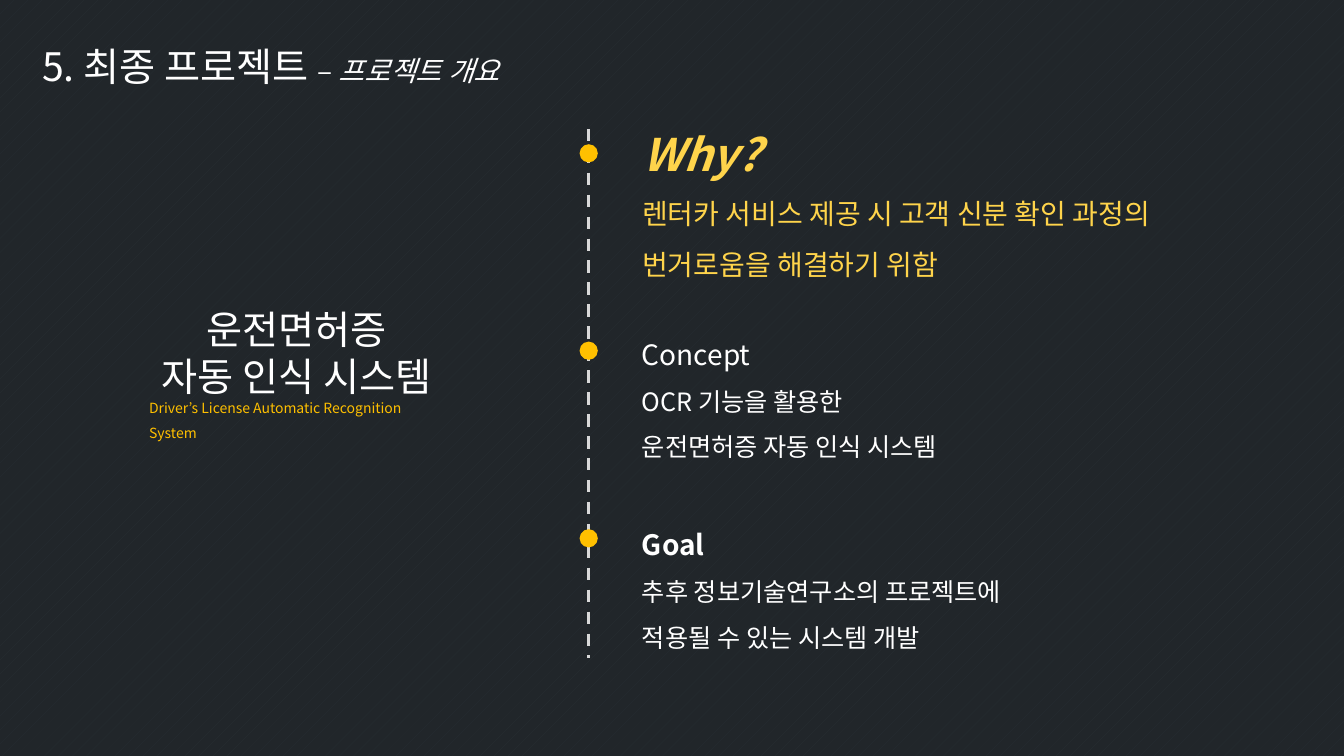
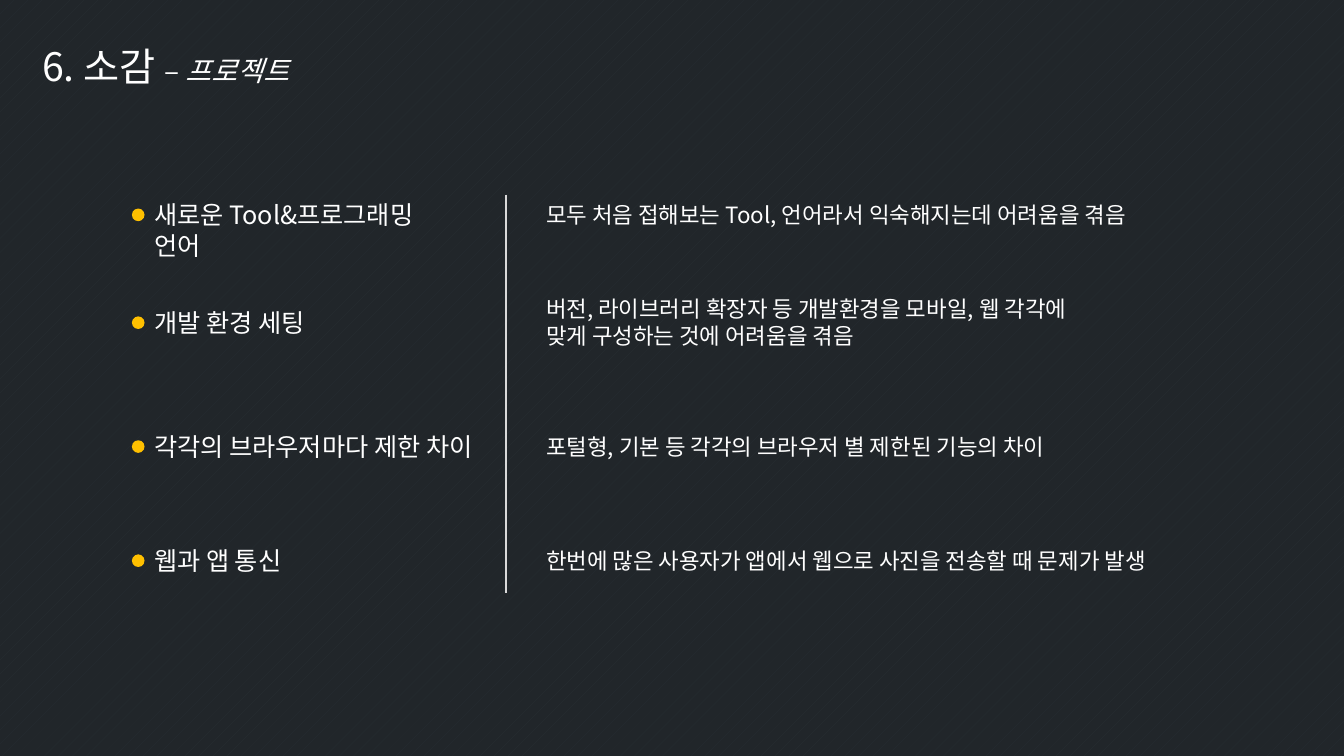
"""Build two dark slides: the project overview and the lessons learned."""
from lxml.etree import SubElement
from pptx import Presentation
from pptx.dml.color import RGBColor
from pptx.enum.dml import MSO_LINE, MSO_PATTERN
from pptx.enum.shapes import MSO_CONNECTOR, MSO_SHAPE
from pptx.enum.text import MSO_ANCHOR, MSO_AUTO_SIZE, PP_ALIGN
from pptx.oxml.ns import qn
from pptx.util import Pt

COLORS = {
    "white": "FFFFFF",
    "amber": "FFC000",
    "yellow": "FFD44B",
    "rule": "D9D9D9",
    "pattern": "282F34",
    "background": "21262A",
}
FONT = "Noto Sans CJK KR"

OVERVIEW_TITLE = ("5. 최종 프로젝트 ", "프로젝트 개요")
PRODUCT_NAME = ["운전면허증", "자동 인식 시스템"]
PRODUCT_ENGLISH = "Driver’s License Automatic Recognition System"
SECTIONS = [
    {
        "heading": "Why?",
        "lines": ["렌터카 서비스 제공 시 고객 신분 확인 과정의", "번거로움을 해결하기 위함"],
        "box": (67.5, 433.5, 138), "dot_y": 109.5, "color": "yellow",
        "heading_style": {"size": 32, "bold": True, "italic": True}, "size": 20,
    },
    {
        "heading": "Concept",
        "lines": ["OCR 기능을 활용한", "운전면허증 자동 인식 시스템"],
        "box": (225.5, 304.5, 109), "dot_y": 250.5, "color": "white",
        "heading_style": {"size": 20}, "size": 18,
    },
    {
        "heading": "Goal",
        "lines": ["추후 정보기술연구소의 프로젝트에", "적용될 수 있는 시스템 개발"],
        "box": (361.5, 335.5, 109), "dot_y": 384.5, "color": "white",
        "heading_style": {"size": 20, "bold": True}, "size": 18,
    },
]

LESSONS_TITLE = ("6. 소감 ", "프로젝트")
LESSONS = [
    (153.5, "새로운 Tool&프로그래밍 언어", 235.5,
     ["모두 처음 접해보는 Tool, 언어라서 익숙해지는데 어려움을 겪음"], 430.5),
    (230.5, "개발 환경 세팅", 123,
     ["버전, 라이브러리 확장자 등 개발환경을 모바일, 웹 각각에",
      "맞게 구성하는 것에 어려움을 겪음"], 390),
    (319, "각각의 브라우저마다 제한 차이", 243.5,
     ["포털형, 기본 등 각각의 브라우저 별 제한된 기능의 차이"], 375),
    (400.5, "웹과 앱 통신", 106.5,
     ["한번에 많은 사용자가 앱에서 웹으로 사진을 전송할 때 문제가 발생"], 446.5),
]


def color(name):
    return RGBColor.from_string(COLORS[name])


def add_run(paragraph, text, size, color_name="white", bold=False, italic=False):
    run = paragraph.add_run()
    run.text = text
    font = run.font
    font.size, font.bold, font.italic = Pt(size), bold, italic
    font.color.rgb = color(color_name)
    font.name = FONT
    SubElement(font._element, qn("a:ea"), typeface=FONT)


def add_paragraph(frame, spacing=None, align=PP_ALIGN.LEFT):
    first = frame.paragraphs[0]
    paragraph = frame.add_paragraph() if first.runs else first
    paragraph.alignment = align
    if spacing:
        paragraph.line_spacing = spacing
    return paragraph


def add_text_frame(shapes, left, top, width, height):
    frame = shapes.add_textbox(Pt(left), Pt(top), Pt(width), Pt(height)).text_frame
    frame.word_wrap = True
    return frame


def add_dot(shapes, center_x, center_y, diameter):
    dot = shapes.add_shape(
        MSO_SHAPE.OVAL, Pt(center_x - diameter / 2), Pt(center_y - diameter / 2),
        Pt(diameter), Pt(diameter))
    dot.shadow.inherit = False
    dot.fill.solid()
    dot.fill.fore_color.rgb = color("amber")
    dot.line.fill.background()


def add_vertical_rule(slide, x, top, bottom, width, dash=None):
    rule = slide.shapes.add_connector(
        MSO_CONNECTOR.STRAIGHT, Pt(x), Pt(top), Pt(x), Pt(bottom))
    rule.line.color.rgb = color("rule")
    rule.line.width = Pt(width)
    if dash:
        rule.line.dash_style = dash
    SubElement(rule._element.spPr, qn("a:effectLst"))


def prepare_layout(presentation):
    fill = presentation.slide_master.background.fill
    fill.patterned()
    fill.pattern = MSO_PATTERN.PERCENT_5
    fill.fore_color.rgb = color("pattern")
    fill.back_color.rgb = color("background")
    layout = presentation.slide_layouts.get_by_name("Title Only")
    title = layout.placeholders[0]
    title.left, title.top, title.width, title.height = Pt(23), Pt(26.5), Pt(429), Pt(41)
    title.text_frame.vertical_anchor = MSO_ANCHOR.TOP
    title.text_frame.auto_size = MSO_AUTO_SIZE.NONE
    return layout


def add_titled_slide(presentation, layout, title):
    slide = presentation.slides.add_slide(layout)
    heading, subheading = title
    paragraph = add_paragraph(slide.shapes.title.text_frame)
    add_run(paragraph, heading, 28)
    add_run(paragraph, "– ", 20)
    add_run(paragraph, subheading, 20, italic=True)
    return slide


def build_overview(presentation, layout):
    slide = add_titled_slide(presentation, layout, OVERVIEW_TITLE)
    product = add_text_frame(slide.shapes, 99.5, 214.5, 224.5, 94.5)
    for line in PRODUCT_NAME:
        add_run(add_paragraph(product, align=PP_ALIGN.CENTER), line, 28)
    english = add_paragraph(product)
    add_run(english, PRODUCT_ENGLISH, 10, "amber")
    add_run(english, " ", 16)

    timeline_x = 420.5
    add_vertical_rule(slide, timeline_x, 92, 470, 2.25, MSO_LINE.DASH)
    for section in SECTIONS:
        top, width, height = section["box"]
        frame = add_text_frame(slide.shapes, 451.5, top, width, height)
        add_run(add_paragraph(frame, 1.5), section["heading"],
                color_name=section["color"], **section["heading_style"])
        for line in section["lines"]:
            add_run(add_paragraph(frame, 1.5), line, section["size"], section["color"])
        add_dot(slide.shapes, timeline_x, section["dot_y"], 13)


def build_lessons(presentation, layout):
    slide = add_titled_slide(presentation, layout, LESSONS_TITLE)
    label_height = 29
    for center_y, label, label_width, details, detail_width in LESSONS:
        shapes = slide.shapes.add_group_shape().shapes
        add_dot(shapes, 98.75, center_y, 9)
        label_frame = add_text_frame(
            shapes, 103, center_y - label_height / 2, label_width, label_height)
        add_run(add_paragraph(label_frame), label, 18)
        detail_height = 7.5 + 19.25 * len(details)
        detail_frame = add_text_frame(
            shapes, 383, center_y - detail_height / 2, detail_width, detail_height)
        for line in details:
            add_run(add_paragraph(detail_frame), line, 16)
    add_vertical_rule(slide, 361.5, 139, 423.5, 1)


def main():
    presentation = Presentation()
    presentation.slide_width, presentation.slide_height = Pt(960), Pt(540)
    layout = prepare_layout(presentation)
    build_overview(presentation, layout)
    build_lessons(presentation, layout)
    presentation.save("out.pptx")


if __name__ == "__main__":
    main()
